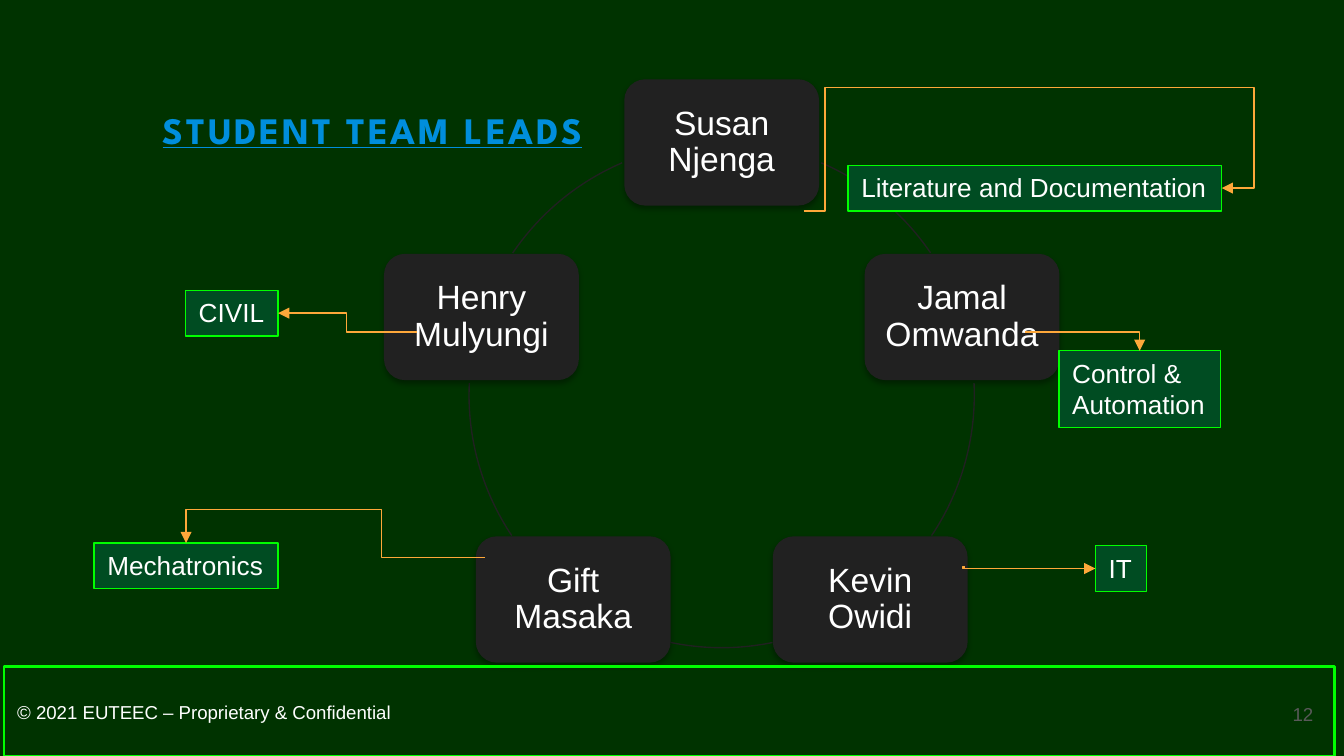
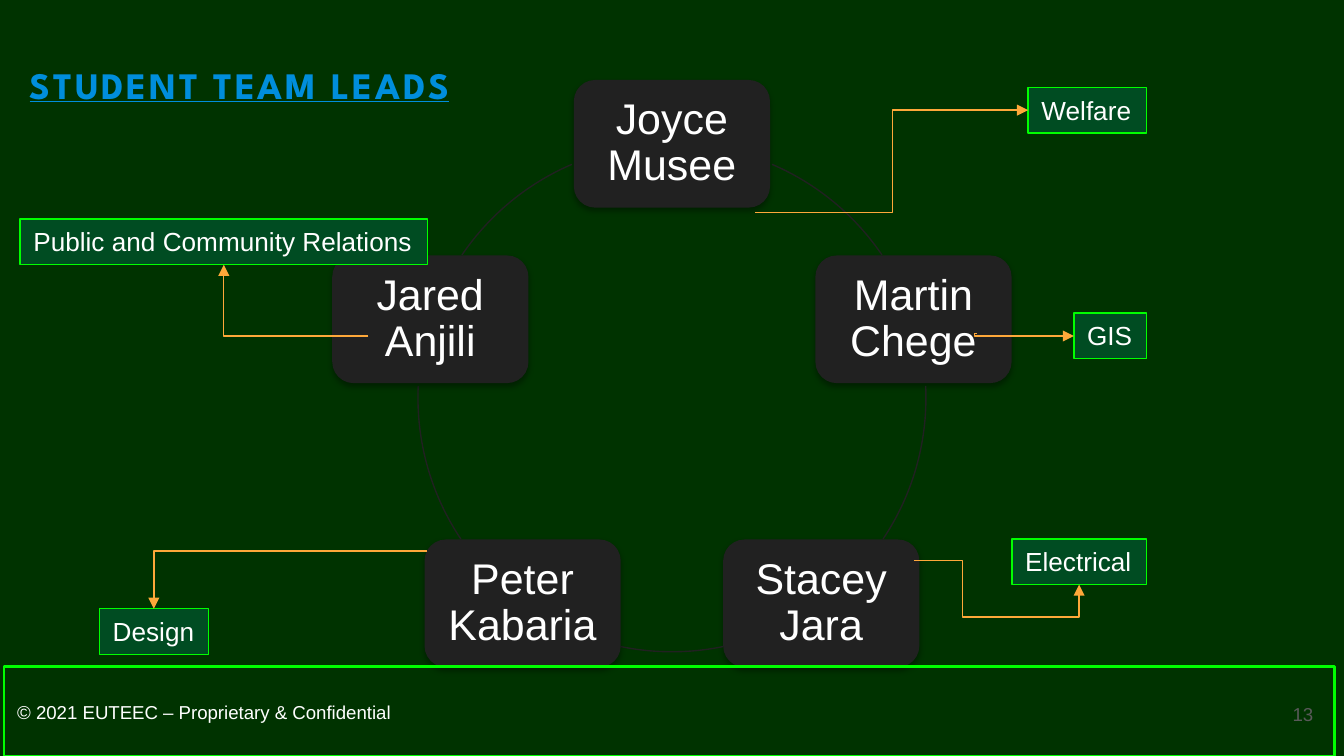
"""Build two slides of student team leads, each with a ring of name cards and role labels."""
from dataclasses import dataclass
from math import cos, radians, sin

from lxml.etree import SubElement
from pptx import Presentation
from pptx.dml.color import RGBColor as Color
from pptx.enum.shapes import MSO_CONNECTOR as Connector, MSO_SHAPE as Preset
from pptx.enum.text import MSO_ANCHOR as Anchor, MSO_AUTO_SIZE as AutoSize, PP_ALIGN as Align
from pptx.oxml.ns import qn
from pptx.util import Inches, Pt


@dataclass(frozen=True)
class Theme:
    background: Color = Color.from_string("003300")
    card: Color = Color.from_string("212121")
    label: Color = Color.from_string("004C22")
    border: Color = Color.from_string("00FF00")
    arrow: Color = Color.from_string("FEA83A")
    text: Color = Color.from_string("FFFFFF")
    number: Color = Color.from_string("595959")
    title_stops: tuple = (Color.from_string("008EDC"), Color.from_string("D30F64"))
    font: str = "Arial"
    title_font: str = "League Spartan"
    title_size: int = 20
    label_size: int = 14
    footer_size: int = 10
    thin: float = 0.75
    thick: float = 1.5


theme = Theme()
TOP, LEFT, BOTTOM, RIGHT = range(4)
LINE_HEIGHT, TWO_LINE_HEIGHT = 0.34, 0.57
ARC_ANGLES = [(293.2, 325.8), (357.3, 33.8), (78.4, 101.6), (146.2, 182.7), (214.2, 246.8)]

TEAMS = [
    dict(
        number="12", title_at=(1.14, 0.76), center=(5.37, 2.94), radius=1.88,
        card=(1.45, 0.94), name_size=18, card_inset=0.07,
        names=["Susan Njenga", "Jamal Omwanda", "Kevin Owidi", "Gift Masaka", "Henry Mulyungi"],
        roles=[
            ("Literature and Documentation", (6.31, 1.23, 2.78, LINE_HEIGHT),
             RIGHT, (5.98, 1.57), [6.14, 0.65, 9.33]),
            ("IT", (8.15, 4.06, 0.38, LINE_HEIGHT), LEFT, (7.18, 4.22), [7.16]),
            ("CIVIL", (1.38, 2.16, 0.69, LINE_HEIGHT), RIGHT, (3.1, 2.47), [2.58]),
            ("Mechatronics", (0.7, 4.04, 1.37, LINE_HEIGHT), TOP, (3.61, 4.15), [2.84, 3.79]),
            ("Control & Automation", (7.88, 2.61, 1.2, TWO_LINE_HEIGHT), TOP, (7.63, 2.47), []),
        ],
    ),
    dict(
        number="13", title_at=(0.15, 0.42), center=(5, 2.96), radius=1.89,
        card=(1.46, 0.95), name_size=23, card_inset=0.1,
        names=["Joyce Musee", "Martin Chege", "Stacey Jara", "Peter Kabaria", "Jared Anjili"],
        roles=[
            ("Welfare", (7.65, 0.65, 0.88, LINE_HEIGHT), LEFT, (5.62, 1.58), [6.64]),
            ("GIS", (7.99, 2.33, 0.54, LINE_HEIGHT), LEFT, (7.27, 2.48), [7.25]),
            ("Electrical", (7.53, 4.01, 1, LINE_HEIGHT), BOTTOM, (6.8, 4.17), [7.16, 4.59]),
            ("Public and Community Relations", (0.15, 1.63, 3.03, LINE_HEIGHT),
             BOTTOM, (2.74, 2.5), []),
            ("Design", (0.74, 4.53, 0.81, LINE_HEIGHT), TOP, (3.18, 4.1), []),
        ],
    ),
]


def write(shape, text, size, color=theme.text, align=Align.LEFT, anchor=Anchor.MIDDLE,
          insets=(0.1, 0.1), wrap=True):
    frame = shape.text_frame
    frame.word_wrap = wrap
    frame.vertical_anchor = anchor
    frame.margin_left = frame.margin_right = Inches(insets[0])
    frame.margin_top = frame.margin_bottom = Inches(insets[1])
    paragraph = frame.paragraphs[0]
    paragraph.alignment = align
    run = paragraph.add_run()
    run.text = text
    run.font.size = Pt(size)
    run.font.name = theme.font
    run.font.color.rgb = color
    return run


def add_box(slide, preset, at, fill=None, line=None, weight=theme.thin):
    shape = slide.shapes.add_shape(preset, *map(Inches, at))
    shape.shadow.inherit = False
    if fill is None:
        shape.fill.background()
    else:
        shape.fill.solid()
        shape.fill.fore_color.rgb = fill
    if line is None:
        shape.line.fill.background()
    else:
        shape.line.color.rgb = line
        shape.line.width = Pt(weight)
    return shape


presentation = Presentation()
presentation.slide_width = Inches(10)
presentation.slide_height = Inches(10) * 9 // 16
master_fill = presentation.slide_master.background.fill
master_fill.solid()
master_fill.fore_color.rgb = theme.background

for team in TEAMS:
    slide = presentation.slides.add_slide(presentation.slide_layouts[5])

    title = slide.shapes.title
    title.left, title.top = map(Inches, team["title_at"])
    title.width, title.height = Inches(3.34), Inches(0.41)
    run = write(title, "STUDENT TEAM LEADS", theme.title_size, anchor=Anchor.TOP,
                insets=(0.07, 0.04), wrap=False)
    title.text_frame.auto_size = AutoSize.SHAPE_TO_FIT_TEXT
    run.font.name = theme.title_font
    run.font.bold = run.font.underline = True
    run.font.fill.gradient()
    run.font.fill.gradient_angle = 0
    for stop, color in zip(run.font.fill.gradient_stops, theme.title_stops):
        stop.color.rgb = color
    run._r.get_or_add_rPr().set("spc", "150")

    number = slide.shapes.add_textbox(*map(Inches, (9.27, 5.1, 0.6, 0.43)))
    write(number, team["number"], theme.footer_size, theme.number, Align.RIGHT)

    center_x, center_y = team["center"]
    radius = team["radius"]
    card_width, card_height = team["card"]
    for index, (name, angles) in enumerate(zip(team["names"], ARC_ANGLES)):
        turn = radians(72 * index - 90)
        card_left = center_x + radius * cos(turn) - card_width / 2
        card_top = center_y + radius * sin(turn) - card_height / 2
        card = add_box(slide, Preset.ROUNDED_RECTANGLE,
                       (card_left, card_top, card_width, card_height), theme.card)
        effects = card._element.spPr.find(qn("a:effectLst"))
        shadow = SubElement(effects, qn("a:outerShdw"), blurRad="40000", dist="23000",
                            dir="5400000", rotWithShape="0")
        shadow_color = SubElement(shadow, qn("a:srgbClr"), val="000000")
        SubElement(shadow_color, qn("a:alpha"), val="35000")
        inset = team["card_inset"]
        write(card, name, team["name_size"], align=Align.CENTER, insets=(inset, inset))
        card.text_frame.paragraphs[0].line_spacing = 0.9

        arc = add_box(slide, Preset.ARC,
                      (center_x - radius, center_y - radius, 2 * radius, 2 * radius),
                      line=theme.card)
        for position, angle in enumerate(angles):
            arc.adjustments[position] = angle * 0.6

    for text, at, side, start, bends in team["roles"]:
        label = add_box(slide, Preset.RECTANGLE, at, theme.label, theme.border)
        write(label, text, theme.label_size, anchor=Anchor.TOP, insets=(0.1, 0.05),
              wrap=at[3] == TWO_LINE_HEIGHT)
        label.text_frame.auto_size = AutoSize.SHAPE_TO_FIT_TEXT

        begin = [Inches(value) for value in start]
        arrow = slide.shapes.add_connector(Connector.ELBOW, *begin, *begin)
        arrow.end_connect(label, side)
        arrow.line.color.rgb = theme.arrow
        arrow.line.width = Pt(theme.thin)
        SubElement(arrow.line._get_or_add_ln(), qn("a:tailEnd"), type="triangle")
        properties = arrow._element.spPr
        SubElement(properties, qn("a:effectLst"))

        geometry = properties.find(qn("a:prstGeom"))
        geometry.set("prst", f"bentConnector{len(bends) + 2}")
        guides = geometry.find(qn("a:avLst"))
        spans = (arrow.end_x - arrow.begin_x, arrow.end_y - arrow.begin_y)
        for position, bend in enumerate(bends):
            axis = position % 2
            share = (Inches(bend) - begin[axis]) / spans[axis]
            SubElement(guides, qn("a:gd"), name=f"adj{position + 1}",
                       fmla=f"val {round(share * 100000)}")

        if spans[0] < 0:
            transform = properties.find(qn("a:xfrm"))
            transform.set("flipH", "0")
            transform.set("flipV", "0" if spans[1] < 0 else "1")
            transform.set("rot", "10800000")

    band = add_box(slide, Preset.RECTANGLE, (0.03, 4.96, 9.9, 0.67),
                   line=theme.border, weight=theme.thick)
    write(band, "© 2021 EUTEEC – Proprietary & Confidential", theme.footer_size)

presentation.save("out.pptx")
